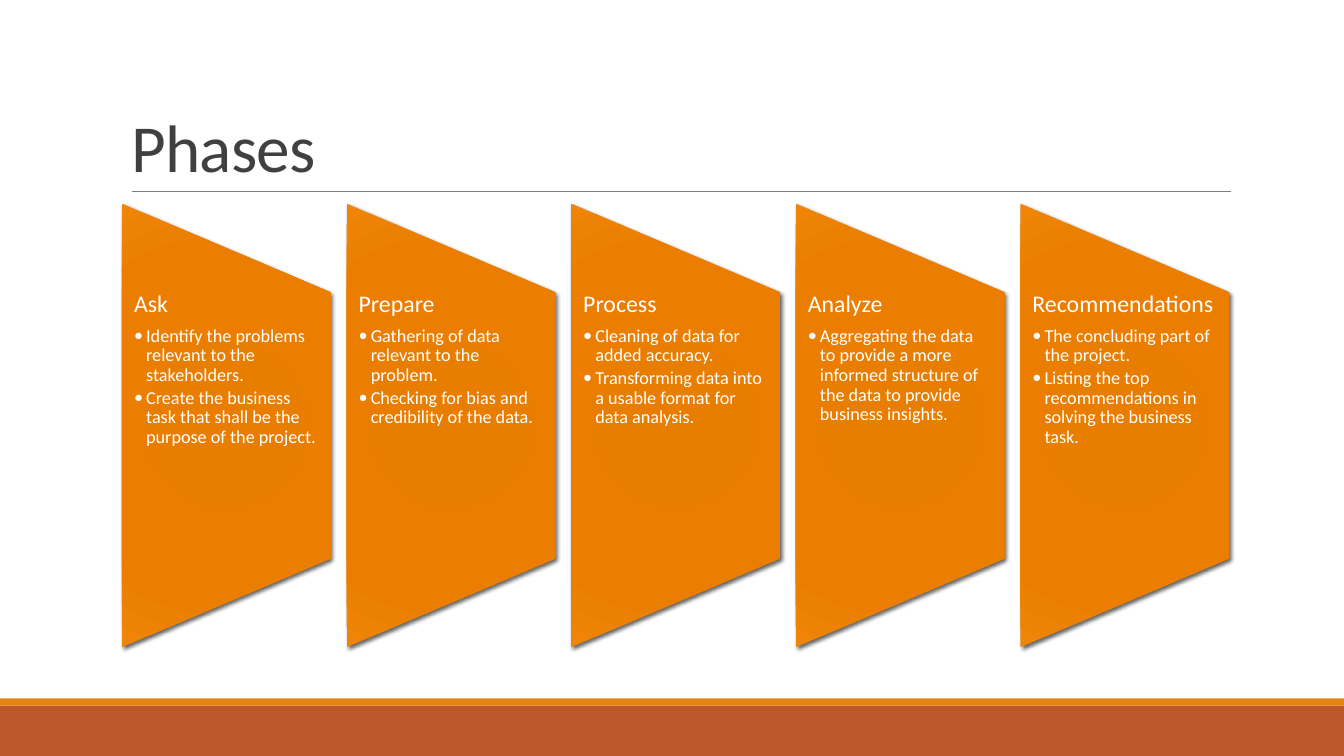
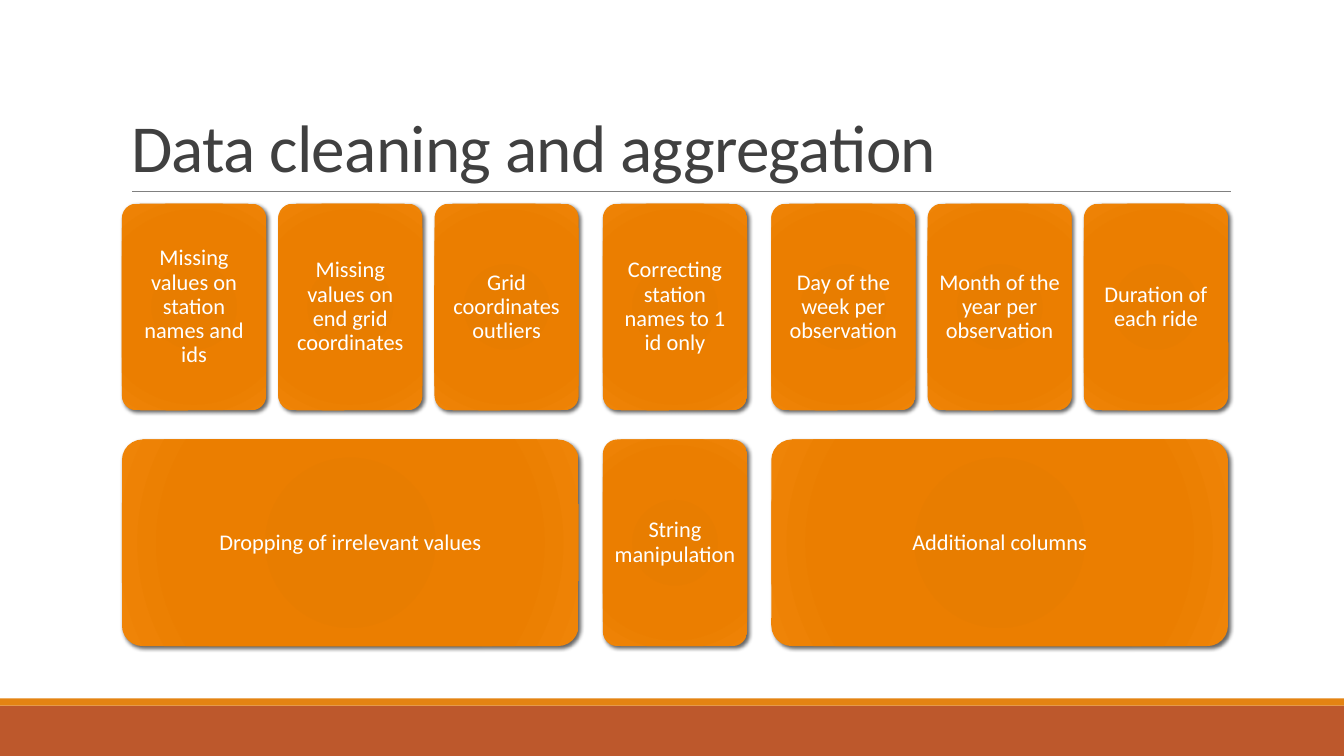
import lxml.etree
import pptx
import pptx.dml.color
import pptx.enum.shapes
import pptx.enum.text
import pptx.oxml.ns
import pptx.util

SHAPES = pptx.enum.shapes.MSO_SHAPE
ANCHOR = pptx.enum.text.MSO_ANCHOR
ALIGN = pptx.enum.text.PP_ALIGN
inches = pptx.util.Inches
points = pptx.util.Pt

FONT = "Calibri"
COLORS = {"band": "BD582C", "stripe": "E48312", "rule": "808080",
          "title": "404040", "text": "FFFFFF"}
GRADIENT = [(0, "E57B00"), (34, "E87D00"), (70, "EB7E00"), (100, "EF8407")]

SLIDE_WIDTH, SLIDE_HEIGHT = 13.33, 7.5
BAND_TOP, STRIPE_HEIGHT = 7, 0.07
TITLE_BOX = (1.2, 0.31, 11, 1.59)
RULE_LEFT, RULE_RIGHT, RULE_TOP = 1.31, 12.21, 1.9
LEFT, TOP, WIDTH, HEIGHT = 1.21, 2.02, 10.98, 4.4

PHASE_WIDTH = 2.07
PHASE_TEXT_INSET = HEIGHT * 0.2
CARD_WIDTH, CARD_HEIGHT = 1.43, 2.05
CARD_GAP, GROUP_GAP, ROW_GAP = 0.12, 0.24, 0.29

PHASES = [
    ("Ask", ["Identify the problems relevant to the stakeholders.",
             "Create the business task that shall be the purpose of the project."]),
    ("Prepare", ["Gathering of data relevant to the problem.",
                 "Checking for bias and credibility of the data."]),
    ("Process", ["Cleaning of data for added accuracy.",
                 "Transforming data into a usable format for data analysis."]),
    ("Analyze", ["Aggregating the data to provide a more informed structure of "
                 "the data to provide business insights."]),
    ("Recommendations", ["The concluding part of the project.",
                         "Listing the top recommendations in solving the business task."]),
]

CLEANING_GROUPS = [
    ("Dropping of irrelevant values", ["Missing values on station names and ids",
                                       "Missing values on end grid coordinates",
                                       "Grid coordinates outliers"]),
    ("String manipulation", ["Correcting station names to 1 id only"]),
    ("Additional columns", ["Day of the week per observation",
                            "Month of the year per observation",
                            "Duration of each ride"]),
]


def color(value):
    """Turn a hex string into a colour."""
    return pptx.dml.color.RGBColor.from_string(value)


def apply_format(target, values):
    """Set every attribute named in a dict of format values."""
    for name, value in values.items():
        setattr(target, name, value)


def add_child(parent, tag, **attributes):
    """Append a drawing element and return it."""
    child = lxml.etree.SubElement(parent, pptx.oxml.ns.qn(tag))
    for name, value in attributes.items():
        child.set(name, str(value))
    return child


def set_margins(frame, horizontal, vertical):
    """Give a text frame its side and top margins."""
    apply_format(frame, {"margin_left": inches(horizontal),
                         "margin_right": inches(horizontal),
                         "margin_top": inches(vertical),
                         "margin_bottom": inches(vertical)})


def write_paragraph(paragraph, text, size, fill=COLORS["text"], **values):
    """Write one formatted run in a paragraph."""
    apply_format(paragraph, {"line_spacing": 0.9, **values})
    run = paragraph.add_run()
    run.text = text
    apply_format(run.font, {"name": FONT, "size": points(size)})
    run.font.color.rgb = color(fill)
    return run


def add_bullet(frame, text):
    """Add a bulleted paragraph to a text frame."""
    paragraph = frame.add_paragraph()
    write_paragraph(paragraph, text, 13, level=1, space_after=points(2))
    properties = paragraph._p.get_or_add_pPr()
    indent = inches(0.12)
    properties.set("marL", str(indent))
    properties.set("indent", str(-indent))
    add_child(properties, "a:buFont", typeface=FONT)
    add_child(properties, "a:buChar", char="•")


def add_block(slide, preset, left, top, width, height):
    """Add a shape without line or shadow."""
    shape = slide.shapes.add_shape(
        preset, inches(left), inches(top), inches(width), inches(height))
    shape.line.fill.background()
    shape.shadow.inherit = False
    return shape


def add_glossy_block(slide, preset, left, top, width, height):
    """Add a shape with the orange radial gradient and a soft shadow."""
    shape = add_block(slide, preset, left, top, width, height)
    shape.fill.background()
    properties = shape._element.spPr
    gradient = lxml.etree.Element(pptx.oxml.ns.qn("a:gradFill"), rotWithShape="1")
    stops = add_child(gradient, "a:gsLst")
    for position, value in GRADIENT:
        stop = add_child(stops, "a:gs", pos=position * 1000)
        add_child(stop, "a:srgbClr", val=value)
    circle = add_child(gradient, "a:path", path="circle")
    add_child(circle, "a:fillToRect", **dict.fromkeys("ltrb", 100000))
    properties.replace(properties.find(pptx.oxml.ns.qn("a:noFill")), gradient)

    effects = properties.find(pptx.oxml.ns.qn("a:effectLst"))
    shadow = add_child(effects, "a:outerShdw", blurRad=points(3), dist=points(2),
                       dir=45 * 60000, algn="br", rotWithShape=0)
    add_child(add_child(shadow, "a:srgbClr", val="000000"), "a:alpha", val=60000)
    return shape


def add_band(slide, top, height, fill):
    """Add a band across the slide."""
    band = add_block(slide, SHAPES.RECTANGLE, 0, top, SLIDE_WIDTH, height)
    band.fill.solid()
    band.fill.fore_color.rgb = color(fill)
    return band


def add_rule(slide):
    """Add the thin line below the title."""
    rule = slide.shapes.add_connector(
        pptx.enum.shapes.MSO_CONNECTOR.STRAIGHT,
        inches(RULE_LEFT), inches(RULE_TOP), inches(RULE_RIGHT), inches(RULE_TOP))
    rule.line.width = points(0.5)
    rule.line.color.rgb = color(COLORS["rule"])
    add_child(rule._element.spPr, "a:effectLst")
    return rule


def dress_layout(layout, slide):
    """Move the shared bands and rule into the layout and place its title."""
    decorations = [
        add_band(slide, BAND_TOP, SLIDE_HEIGHT - BAND_TOP, COLORS["band"]),
        add_band(slide, BAND_TOP - STRIPE_HEIGHT, STRIPE_HEIGHT, COLORS["stripe"]),
        add_rule(slide),
    ]
    for number, shape in enumerate(decorations, 100):
        shape._element.xpath(".//p:cNvPr")[0].set("id", str(number))
        layout.shapes._spTree.append(shape._element)
    names = ("left", "top", "width", "height")
    apply_format(layout.placeholders[0], dict(zip(names, map(inches, TITLE_BOX))))


def set_title(slide, text):
    """Write the slide's title in the shared style."""
    frame = slide.shapes.title.text_frame
    apply_format(frame, {"vertical_anchor": ANCHOR.BOTTOM, "word_wrap": True,
                         "auto_size": pptx.enum.text.MSO_AUTO_SIZE.NONE})
    run = write_paragraph(frame.paragraphs[0], text, 48, COLORS["title"],
                          line_spacing=0.85, alignment=ALIGN.LEFT)
    run.font._element.set("spc", "-50")


def add_phase(slide, left, heading, bullets):
    """Add a phase: a trapezoid turned on its side with a list over it."""
    shape = add_glossy_block(
        slide, SHAPES.FLOWCHART_MANUAL_OPERATION,
        left + (PHASE_WIDTH - HEIGHT) / 2, TOP + (HEIGHT - PHASE_WIDTH) / 2,
        HEIGHT, PHASE_WIDTH)
    shape.rotation = 270
    box = slide.shapes.add_textbox(
        inches(left), inches(TOP + PHASE_TEXT_INSET),
        inches(PHASE_WIDTH), inches(HEIGHT - 2 * PHASE_TEXT_INSET))
    frame = box.text_frame
    frame.word_wrap = True
    set_margins(frame, 0.12, 0)
    write_paragraph(frame.paragraphs[0], heading, 17, space_after=points(6))
    for bullet in bullets:
        add_bullet(frame, bullet)


def add_card(slide, left, row, width, text):
    """Add a rounded card with centred text."""
    top = TOP + row * (CARD_HEIGHT + ROW_GAP)
    card = add_glossy_block(
        slide, SHAPES.ROUNDED_RECTANGLE, left, top, width, CARD_HEIGHT)
    card.adjustments[0] = 0.1
    frame = card.text_frame
    apply_format(frame, {"word_wrap": True, "vertical_anchor": ANCHOR.MIDDLE})
    set_margins(frame, 0.07, 0.07)
    write_paragraph(frame.paragraphs[0], text, 16, alignment=ALIGN.CENTER)


def fill_phases(slide):
    """Lay the phases out in equal columns."""
    set_title(slide, "Phases")
    pitch = (WIDTH - PHASE_WIDTH) / (len(PHASES) - 1)
    for column, (heading, bullets) in enumerate(PHASES):
        add_phase(slide, LEFT + column * pitch, heading, bullets)


def fill_cleaning(slide):
    """Lay the steps out above the cards that sum them up."""
    set_title(slide, "Data cleaning and aggregation")
    left = LEFT
    pitch = CARD_WIDTH + CARD_GAP
    for summary, steps in CLEANING_GROUPS:
        width = len(steps) * pitch - CARD_GAP
        add_card(slide, left, 1, width, summary)
        for column, step in enumerate(steps):
            add_card(slide, left + column * pitch, 0, CARD_WIDTH, step)
        left += width + GROUP_GAP


def main():
    """Build and save the presentation."""
    presentation = pptx.Presentation()
    presentation.slide_width = inches(SLIDE_WIDTH)
    presentation.slide_height = inches(SLIDE_HEIGHT)
    layout = presentation.slide_layouts[5]
    slides = [presentation.slides.add_slide(layout) for _ in range(2)]
    dress_layout(layout, slides[0])
    fill_phases(slides[0])
    fill_cleaning(slides[1])
    presentation.save("out.pptx")


if __name__ == "__main__":
    main()
